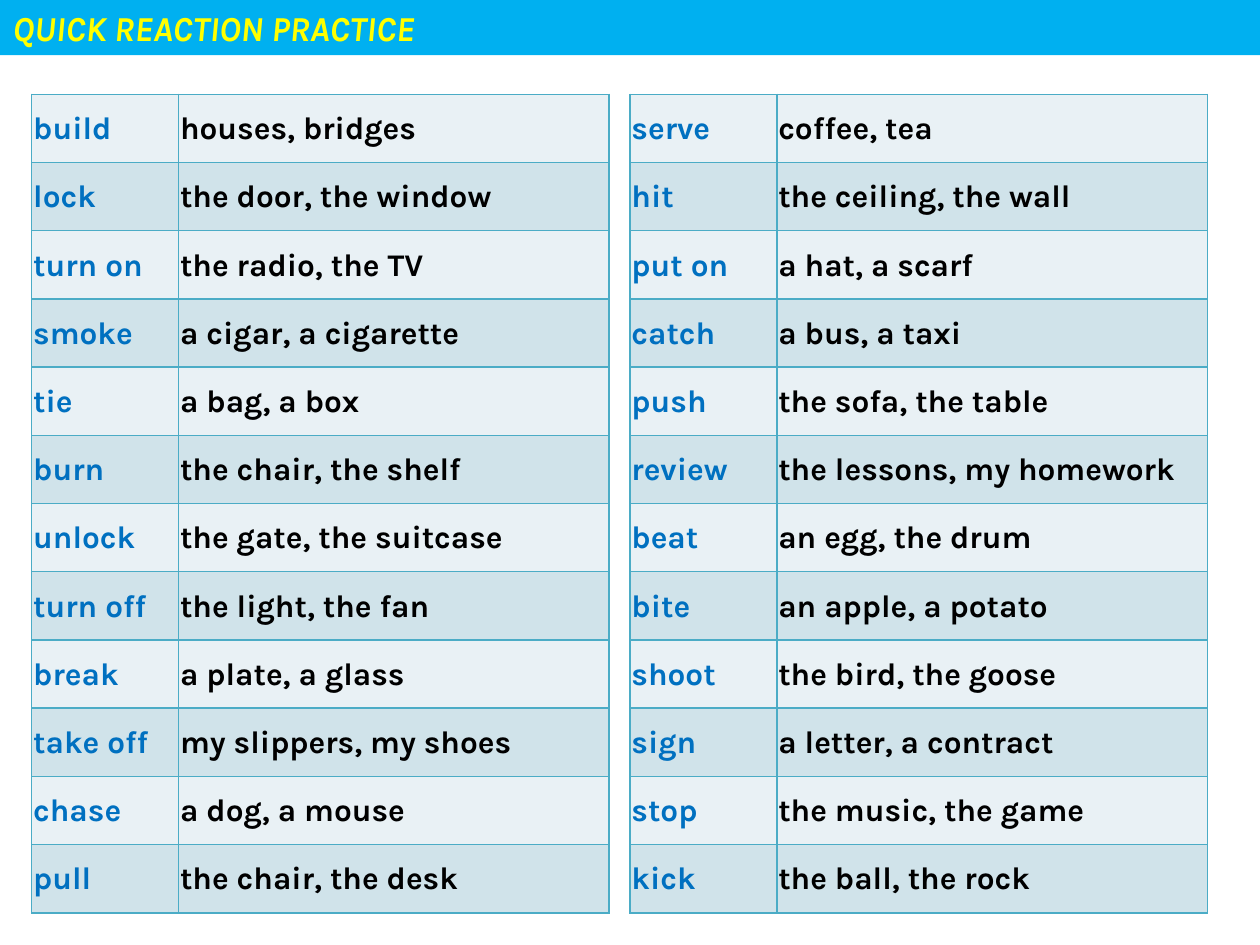
from dataclasses import dataclass

import pptx
import pptx.dml.color
import pptx.enum.text
import pptx.oxml
import pptx.oxml.ns
import pptx.util
from pptx.util import Cm


@dataclass(frozen=True)
class Theme:
    font: str = "Karla"
    title_size: int = 20
    cell_size: int = 18
    banner: str = "00B0F0"
    title: str = "FFFF00"
    verb: str = "0070C0"
    objects: str = "000000"
    bands: tuple = ("E9F1F5", "D0E3EA")
    border: str = "4BACC6"
    border_width: int = 1


THEME = Theme()

COLUMN_WIDTHS = (Cm(2.96), Cm(8.68))
ROW_HEIGHT = Cm(1.375)
TABLE_TOP = Cm(1.9)

LEFT_VERBS = [
    ("build", "houses, bridges"),
    ("lock", "the door, the window"),
    ("turn on", "the radio, the TV"),
    ("smoke", "a cigar, a cigarette"),
    ("tie", "a bag, a box"),
    ("burn", "the chair, the shelf"),
    ("unlock", "the gate, the suitcase"),
    ("turn off", "the light, the fan"),
    ("break", "a plate, a glass"),
    ("take off", "my slippers, my shoes"),
    ("chase", "a dog, a mouse"),
    ("pull", "the chair, the desk"),
]
RIGHT_VERBS = [
    ("serve", "coffee, tea"),
    ("hit", "the ceiling, the wall"),
    ("put on", "a hat, a scarf"),
    ("catch", "a bus, a taxi"),
    ("push", "the sofa, the table"),
    ("review", "the lessons, my homework"),
    ("beat", "an egg, the drum"),
    ("bite", "an apple, a potato"),
    ("shoot", "the bird, the goose"),
    ("sign", "a letter, a contract"),
    ("stop", "the music, the game"),
    ("kick", "the ball, the rock"),
]


def set_attributes(target, values):
    for name, value in values.items():
        setattr(target, name, value)


def fill_solid(target, color):
    target.fill.solid()
    target.fill.fore_color.rgb = pptx.dml.color.RGBColor.from_string(color)


def write_text(frame, text, size, color, italic=False):
    para = frame.paragraphs[0]
    para.alignment = pptx.enum.text.PP_ALIGN.LEFT
    span = para.add_run()
    span.text = text
    set_attributes(span.font, {
        "name": THEME.font,
        "size": pptx.util.Pt(size),
        "bold": True,
        "italic": italic,
    })
    span.font.color.rgb = pptx.dml.color.RGBColor.from_string(color)


def add_banner(page, text, width):
    banner = page.shapes.title
    set_attributes(banner, {"left": 0, "top": 0, "width": width, "height": Cm(1.11)})
    fill_solid(banner, THEME.banner)
    set_attributes(banner.text_frame, {
        "word_wrap": True,
        "auto_size": pptx.enum.text.MSO_AUTO_SIZE.NONE,
        "vertical_anchor": pptx.enum.text.MSO_ANCHOR.MIDDLE,
    })
    write_text(banner.text_frame, text, THEME.title_size, THEME.title, italic=True)


def draw_borders(cell):
    """Line all four sides; the lines must come before the fill in the XML."""
    properties = cell._tc.get_or_add_tcPr()
    width = pptx.util.Pt(THEME.border_width)
    for index, side in enumerate(("lnL", "lnR", "lnT", "lnB")):
        line = pptx.oxml.parse_xml(
            f'<a:{side} {pptx.oxml.ns.nsdecls("a")} w="{width}"><a:solidFill>'
            f'<a:srgbClr val="{THEME.border}"/></a:solidFill></a:{side}>'
        )
        properties.insert(index, line)


def format_cell(cell, text, color, band):
    set_attributes(cell, {
        "margin_left": Cm(0.03),
        "margin_right": Cm(0.03),
        "margin_top": Cm(0.03),
        "margin_bottom": 0,
        "vertical_anchor": pptx.enum.text.MSO_ANCHOR.MIDDLE,
    })
    fill_solid(cell, band)
    draw_borders(cell)
    write_text(cell.text_frame, text, THEME.cell_size, color)


def add_verb_table(page, left, entries):
    table = page.shapes.add_table(
        len(entries), len(COLUMN_WIDTHS), left, TABLE_TOP,
        sum(COLUMN_WIDTHS), ROW_HEIGHT * len(entries),
    ).table
    set_attributes(table, {"first_row": False, "horz_banding": False})
    for column, width in zip(table.columns, COLUMN_WIDTHS):
        column.width = width
    for row_index, entry in enumerate(entries):
        table.rows[row_index].height = ROW_HEIGHT
        band = THEME.bands[row_index % len(THEME.bands)]
        for column_index, color in enumerate((THEME.verb, THEME.objects)):
            cell = table.cell(row_index, column_index)
            format_cell(cell, entry[column_index], color, band)


def main():
    deck = pptx.Presentation()
    set_attributes(deck, {"slide_width": Cm(25.4), "slide_height": Cm(19.05)})
    page = deck.slides.add_slide(deck.slide_layouts.get_by_name("Title Only"))
    add_banner(page, "QUICK REACTION PRACTICE", deck.slide_width)
    add_verb_table(page, Cm(0.64), LEFT_VERBS)
    add_verb_table(page, Cm(12.7), RIGHT_VERBS)
    deck.save("out.pptx")


if __name__ == "__main__":
    main()
